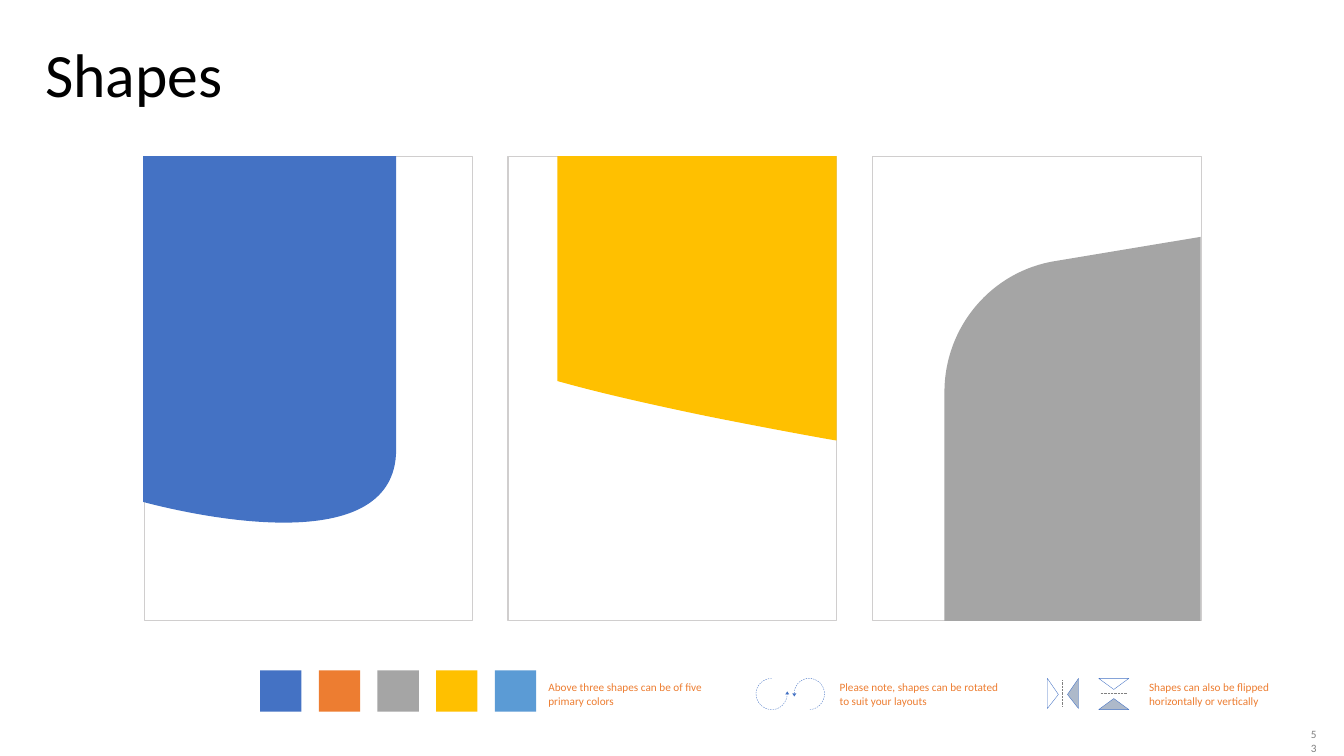
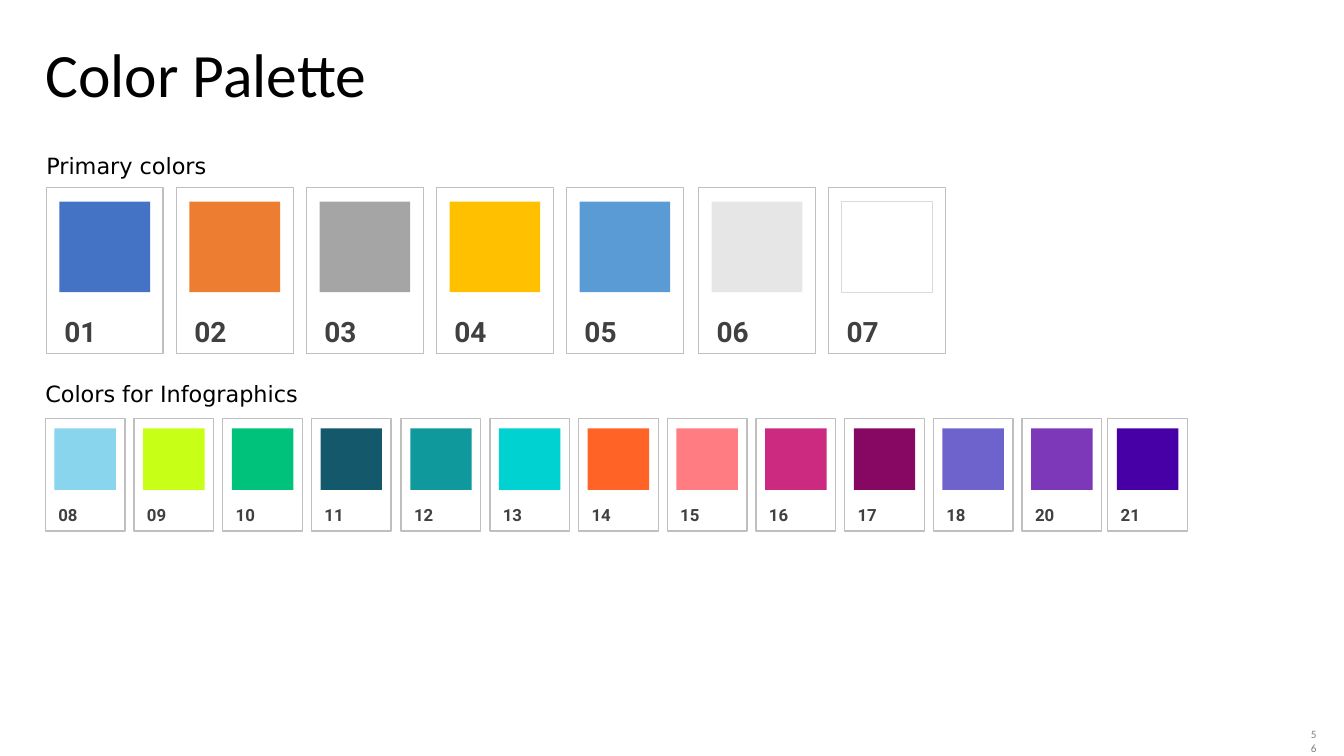
from lxml import etree
from pptx import Presentation
from pptx.dml.color import RGBColor
from pptx.enum.dml import MSO_LINE
from pptx.enum.shapes import MSO_CONNECTOR, MSO_SHAPE
from pptx.enum.text import MSO_ANCHOR, MSO_AUTO_SIZE, PP_ALIGN
from pptx.oxml.ns import qn
from pptx.util import Inches, Pt

RECTANGLE, TRIANGLE = MSO_SHAPE.RECTANGLE, MSO_SHAPE.ISOSCELES_TRIANGLE
STRAIGHT = MSO_CONNECTOR.STRAIGHT
DASH, DOTS = MSO_LINE.DASH, MSO_LINE.ROUND_DOT
TOP, MIDDLE = MSO_ANCHOR.TOP, MSO_ANCHOR.MIDDLE
LEFT, RIGHT = PP_ALIGN.LEFT, PP_ALIGN.RIGHT
NO_AUTOFIT = MSO_AUTO_SIZE.NONE

# Theme: fonts and colours
BODY_FONT, HEADING_FONT, LABEL_FONT = "Calibri", "DejaVu Sans", "Roboto"
BLACK = RGBColor(0x00, 0x00, 0x00)
WHITE = RGBColor(0xFF, 0xFF, 0xFF)
BLUE = RGBColor(0x44, 0x72, 0xC4)
ORANGE = RGBColor(0xED, 0x7D, 0x31)
GRAY = RGBColor(0xA5, 0xA5, 0xA5)
GOLD = RGBColor(0xFF, 0xC0, 0x00)
SKY = RGBColor(0x5B, 0x9B, 0xD5)
SILVER = RGBColor(0xE7, 0xE6, 0xE6)
SLATE = RGBColor(0xAD, 0xB9, 0xCA)
MID_GRAY = RGBColor(0x80, 0x80, 0x80)
LABEL_GRAY = RGBColor(0x40, 0x40, 0x40)
PANEL_EDGE = RGBColor(0xD0, 0xCE, 0xCE)
CARD_EDGE = RGBColor(0xBF, 0xBF, 0xBF)
SWATCH_EDGE = RGBColor(0xD9, 0xD9, 0xD9)
PRIMARY = [BLUE, ORANGE, GRAY, GOLD, SKY]
INFOGRAPHIC = [RGBColor.from_string(code) for code in (
    "88D5ED", "C7FF17", "00C27A", "14596B", "0F999C", "00D1D1", "FF6326",
    "FF7D82", "CC2980", "870863", "6E63CC", "7D38BA", "4700A6")]


def paint(shape, fill=None, edge=None, width=1, dash=None):
    """Give a shape its fill and outline; None means without."""
    shape.shadow.inherit = False
    if fill is None:
        shape.fill.background()
    else:
        shape.fill.solid()
        shape.fill.fore_color.rgb = fill
    if edge is None:
        shape.line.fill.background()
    else:
        shape.line.color.rgb = edge
        shape.line.width = Pt(width)
        if dash is not None:
            shape.line.dash_style = dash


def write(box, text, size, color, font=BODY_FONT, bold=False, spacing=None,
          anchor=TOP, align=LEFT, padded=False):
    """Fill a text box or placeholder with one formatted run."""
    frame = box.text_frame
    frame.word_wrap = True
    frame.auto_size = NO_AUTOFIT
    frame.vertical_anchor = anchor
    if not padded:
        frame.margin_left = frame.margin_right = 0
        frame.margin_top = frame.margin_bottom = 0
    paragraph = frame.paragraphs[0]
    paragraph.alignment = align
    paragraph.line_spacing = spacing
    run = paragraph.add_run()
    run.text = text
    run.font.size = Pt(size)
    run.font.name = font
    run.font.bold = bold
    run.font.color.rgb = color


prs = Presentation()
prs.slide_width, prs.slide_height = Inches(40 / 3), Inches(7.5)
TITLE_ONLY = prs.slide_layouts[5]

# Title and page number of every slide
slides = []
for heading, page in (("Shapes", "53"), ("Color Palette", "56")):
    slide = prs.slides.add_slide(TITLE_ONLY)
    title = slide.shapes.title
    title.left, title.top = Inches(0.45), Inches(0.44)
    title.width, title.height = Inches(11.89), Inches(0.94)
    write(title, heading, 44, BLACK, spacing=0.9)
    number = slide.shapes.add_textbox(
        Inches(12.89), Inches(7.17), Inches(0.27), Inches(0.24))
    write(number, page, 8, MID_GRAY, align=RIGHT, padded=True)
    slides.append(slide)
shapes_slide, palette_slide = (slide.shapes for slide in slides)

# Three framed panels
for left in (1.43, 5.04, 8.66):
    panel = shapes_slide.add_shape(
        RECTANGLE, Inches(left), Inches(1.55), Inches(3.26), Inches(4.61))
    paint(panel, WHITE, PANEL_EDGE, 0.75)

# Outlines: a pair is a corner, six numbers are a Bézier curve
blue_drop = [(1.42, 1.55), (1.42, 4.98),
             (1.72, 5.06, 3.93, 5.62, 3.93, 4.46), (3.93, 1.55)]
gold_drop = [(5.53, 1.55), (5.53, 3.78),
             (5.92, 3.89, 6.36, 3.99, 6.83, 4.09),
             (7.25, 4.18, 8.27, 4.37, 8.3, 4.37), (8.3, 1.55)]
gray_rise = [(9.37, 6.16), (9.37, 3.89),
             (9.37, 3.24, 9.84, 2.69, 10.47, 2.59),
             (11.91, 2.35), (11.91, 6.16)]
turn_left = [(7.81, 6.88), (7.81, 6.97, 7.74, 7.04, 7.66, 7.04),
             (7.57, 7.04, 7.5, 6.97, 7.5, 6.88),
             (7.5, 6.8, 7.57, 6.73, 7.66, 6.73)]
turn_right = [(7.88, 6.88), (7.88, 6.8, 7.94, 6.73, 8.03, 6.73),
              (8.11, 6.73, 8.18, 6.8, 8.18, 6.88),
              (8.18, 6.97, 8.11, 7.04, 8.03, 7.04)]
flip_left = [(10.39, 7.03), (10.39, 6.73), (10.5, 6.89)]
flip_right = [(10.7, 7.03), (10.7, 6.73), (10.59, 6.89)]
flip_top = [(10.9, 6.73), (11.2, 6.73), (11.05, 6.84)]
flip_bottom = [(10.9, 7.04), (11.2, 7.04), (11.05, 6.93)]

for outline, fill, edge, dash in (
        (blue_drop, BLUE, None, None), (gold_drop, GOLD, None, None),
        (gray_rise, GRAY, None, None),
        (turn_left, None, BLUE, DASH), (turn_right, None, BLUE, DASH),
        (flip_left, None, BLUE, None), (flip_right, SLATE, BLUE, None),
        (flip_top, None, BLUE, None), (flip_bottom, SLATE, BLUE, None)):
    points = [(Inches(segment[i]), Inches(segment[i + 1]))
              for segment in outline for i in range(0, len(segment), 2)]
    builder = shapes_slide.build_freeform(*points[0])
    builder.add_line_segments(points[1:], close=dash is None)
    freeform = builder.convert_to_shape()
    # Join the three points of each curve into one Bézier segment
    steps = iter(list(freeform._element.iter(qn("a:lnTo"))))
    for segment in outline[1:]:
        step = next(steps)
        if len(segment) == 6:
            step.addprevious(curve := etree.Element(qn("a:cubicBezTo")))
            for corner in (step, next(steps), next(steps)):
                curve.append(corner[0])
                corner.getparent().remove(corner)
    paint(freeform, fill, edge, 0.25, dash)

# Arrowheads of the rotation marks
for x, y, rotation in ((7.79, 6.86, 0), (7.86, 6.88, 180)):
    arrowhead = shapes_slide.add_shape(
        TRIANGLE, Inches(x), Inches(y), Inches(0.04), Inches(0.03))
    arrowhead.rotation = rotation
    paint(arrowhead, BLUE)

# Mirror axes of the flip marks
for ends in ((10.54, 7.01, 10.54, 6.75), (10.92, 6.88, 11.18, 6.88)):
    axis = shapes_slide.add_connector(STRAIGHT, *map(Inches, ends))
    axis.line.color.rgb = MID_GRAY
    axis.line.width = Pt(0.5)
    axis.line.dash_style = DOTS
    etree.SubElement(axis._element.spPr, qn("a:effectLst"))

# Row of primary colours
chip_pitch = (4.91 - 2.58) / (len(PRIMARY) - 1)
for column, color in enumerate(PRIMARY):
    chip = shapes_slide.add_shape(
        RECTANGLE, Inches(2.58 + column * chip_pitch), Inches(6.65),
        Inches(0.41), Inches(0.41))
    paint(chip, color)

# Captions
for x, caption in (
        (5.44, "Above three shapes can be of five primary colors"),
        (8.33, "Please note, shapes can be rotated to suit your layouts"),
        (11.4, "Shapes can also be flipped horizontally or vertically")):
    note = shapes_slide.add_textbox(
        Inches(x), Inches(6.74), Inches(1.64), Inches(0.28))
    write(note, caption, 8, ORANGE, spacing=Pt(10), anchor=MIDDLE)

# Palette rows: heading with left, top, width; runs of cards as (left, count)
# with their pitch; card top, width, height; swatch offsets and size;
# label offsets, width, height and text size; numbers; colours
palette_rows = (
    ("Primary colors", (0.46, 1.51, 4.4), ((0.46, 5), (6.93, 2)), 1.29,
     (1.86, 1.16, 1.65), (0.13, 0.14, 0.9), (0.08, 1.26, 0.55, 0.36, 20),
     range(1, 8), PRIMARY + [SILVER, WHITE]),
    ("Colors for Infographics", (0.45, 3.77, 5.73),
     ((0.45, 4), (3.98, 8), (10.99, 1)), 0.88,
     (4.15, 0.79, 1.12), (0.09, 0.1, 0.61), (0.03, 0.84, 0.41, 0.27, 12),
     [*range(8, 19), 20, 21], INFOGRAPHIC))
for (heading, (heading_left, heading_top, heading_width), runs, pitch,
     (card_top, card_width, card_height), (swatch_dx, swatch_dy, swatch_size),
     (label_dx, label_dy, label_width, label_height, label_size),
     numbers, colors) in palette_rows:
    row_heading = palette_slide.add_textbox(
        Inches(heading_left), Inches(heading_top),
        Inches(heading_width), Inches(0.27))
    write(row_heading, heading, 16, BLACK, HEADING_FONT, anchor=MIDDLE)
    lefts = [first + column * pitch
             for first, count in runs for column in range(count)]
    for left, number, color in zip(lefts, numbers, colors):
        card = palette_slide.add_shape(
            RECTANGLE, Inches(left), Inches(card_top),
            Inches(card_width), Inches(card_height))
        paint(card, WHITE, CARD_EDGE)
        swatch = palette_slide.add_shape(
            RECTANGLE, Inches(left + swatch_dx), Inches(card_top + swatch_dy),
            Inches(swatch_size), Inches(swatch_size))
        paint(swatch, color, SWATCH_EDGE if color == WHITE else None)
        label = palette_slide.add_textbox(
            Inches(left + label_dx), Inches(card_top + label_dy),
            Inches(label_width), Inches(label_height))
        write(label, f"{number:02d}", label_size, LABEL_GRAY, LABEL_FONT,
              bold=True, spacing=0.85, padded=True)

prs.save("out.pptx")
